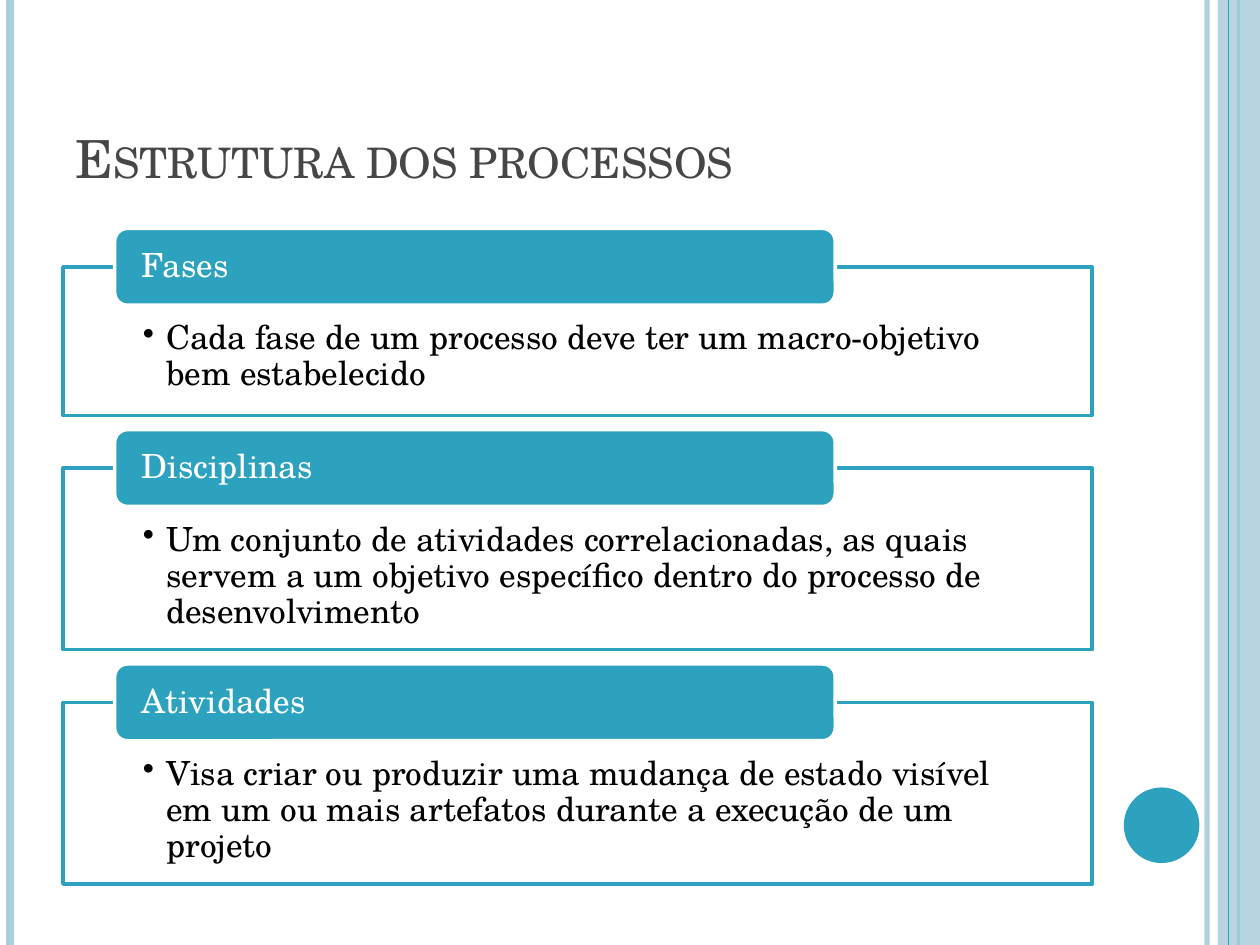
import lxml.etree
import pptx
import pptx.dml.color
import pptx.enum.shapes
import pptx.enum.text
import pptx.oxml.ns
import pptx.util

Pt = pptx.util.Pt
qn = pptx.oxml.ns.qn
ShapeType = pptx.enum.shapes.MSO_SHAPE
Anchor = pptx.enum.text.MSO_ANCHOR
Align = pptx.enum.text.PP_ALIGN

COLORS = {
    "accent": "2DA2BF",
    "pale": "ADCEDC",
    "title": "464646",
    "text": "000000",
    "white": "FFFFFF",
}
FONT = "TeX Gyre Schola"
WIDTH, HEIGHT = 720, 540
SECTIONS = [
    ("Fases", 84.8, "Cada fase de um processo deve ter um macro-objetivo bem estabelecido"),
    ("Disciplinas", 103.7, "Um conjunto de atividades correlacionadas, as quais servem a um "
     "objetivo específico dentro do processo de desenvolvimento"),
    ("Atividades", 103.7, "Visa criar ou produzir uma mudança de estado visível em um ou mais "
     "artefatos durante a execução de um projeto"),
]
STRIPES = [(689.8, "pale", 3, 93), (5.8, "pale", 4.5, 100), (707.8, "accent", 1.5, 100)]
PANEL_LEFT, PANEL_WIDTH, PANEL_TOP, PANEL_GAP = 36, 588.2, 152.6, 30.2
LABEL_LEFT, LABEL_WIDTH, LABEL_HEIGHT, LABEL_RISE = 65.5, 411.8, 43.9, 22.1


class SlideBuilder:
    """Holds the style and the current slide, and adds each kind of element."""

    def __init__(self, slide, font, colors):
        self.slide = slide
        self.font = font
        self.colors = colors

    def color(self, name):
        return pptx.dml.color.RGBColor.from_string(self.colors[name])

    def set_opacity(self, element, percent):
        if percent < 100:
            for color in element.iter(qn("a:srgbClr")):
                lxml.etree.SubElement(color, qn("a:alpha")).set("val", str(percent * 1000))

    def stripe(self, x, color, width, opacity=100):
        line = self.slide.shapes.add_connector(
            pptx.enum.shapes.MSO_CONNECTOR.STRAIGHT, Pt(x), Pt(0), Pt(x), Pt(HEIGHT))
        line.line.color.rgb = self.color(color)
        line.line.width = Pt(width)
        properties = line._element.spPr
        self.set_opacity(properties, opacity)
        lxml.etree.SubElement(properties, qn("a:effectLst"))

    def shape(self, kind, box, fill, opacity=100, outline=None):
        shape = self.slide.shapes.add_shape(kind, *map(Pt, box))
        shape.shadow.inherit = False
        shape.fill.solid()
        shape.fill.fore_color.rgb = self.color(fill)
        self.set_opacity(shape._element.spPr, opacity)
        if outline:
            shape.line.color.rgb = self.color(outline)
            shape.line.width = Pt(2)
        else:
            shape.line.fill.background()
        return shape

    def text(self, shape, text, size, color, frame_format, spacing=1.0):
        frame = shape.text_frame
        frame_values = {"word_wrap": True, "auto_size": pptx.enum.text.MSO_AUTO_SIZE.NONE}
        for name, value in {**frame_values, **frame_format}.items():
            setattr(frame, name, value)
        paragraph = frame.paragraphs[0]
        for name, value in {"alignment": Align.LEFT, "line_spacing": spacing}.items():
            setattr(paragraph, name, value)
        run = paragraph.add_run()
        run.text = text
        for name, value in {"name": self.font, "size": Pt(size)}.items():
            setattr(run.font, name, value)
        run.font.color.rgb = self.color(color)
        return paragraph

    def title(self, text, box):
        title = self.slide.shapes.title
        for name, value in zip(("left", "top", "width", "height"), box):
            setattr(title, name, Pt(value))
        paragraph = self.text(title, text, 30, "title", {"vertical_anchor": Anchor.BOTTOM})
        paragraph.runs[0]._r.get_or_add_rPr().set("cap", "small")

    def panel(self, text, box):
        panel = self.shape(ShapeType.RECTANGLE, box, "white", 90, "accent")
        frame_format = {
            "vertical_anchor": Anchor.TOP,
            "margin_left": Pt(45.6), "margin_right": Pt(45.6),
            "margin_top": Pt(31), "margin_bottom": Pt(10.8),
        }
        paragraph = self.text(panel, text, 19, "text", frame_format, 0.9)
        paragraph.level = 1
        properties = paragraph._p.get_or_add_pPr()
        for name, value in {"marL": Pt(13.5), "indent": -Pt(13.5)}.items():
            properties.set(name, str(value))
        lxml.etree.SubElement(properties, qn("a:buChar")).set("char", "•")

    def label(self, text, box):
        label = self.shape(ShapeType.ROUNDED_RECTANGLE, box, "accent", outline="white")
        frame_format = {
            "vertical_anchor": Anchor.MIDDLE,
            "margin_left": Pt(13.5), "margin_right": Pt(13.5),
            "margin_top": Pt(0), "margin_bottom": Pt(0),
        }
        self.text(label, text, 19, "white", frame_format, 0.9)


def main():
    presentation = pptx.Presentation()
    presentation.slide_width, presentation.slide_height = Pt(WIDTH), Pt(HEIGHT)
    slide = presentation.slides.add_slide(presentation.slide_layouts[5])
    builder = SlideBuilder(slide, FONT, COLORS)

    for stripe in STRIPES:
        builder.stripe(*stripe)
    builder.shape(ShapeType.RECTANGLE, (696, 0, 24, HEIGHT), "pale", 87)
    builder.stripe(702, "accent", 0.75)
    builder.shape(ShapeType.OVAL, (642.2, 450, 43.2, 43.2), "accent")
    builder.title("Estrutura dos processos", (36, 21.6, 588.2, 90))

    top = PANEL_TOP
    for heading, height, description in SECTIONS:
        builder.panel(description, (PANEL_LEFT, top, PANEL_WIDTH, height))
        builder.label(heading, (LABEL_LEFT, top - LABEL_RISE, LABEL_WIDTH, LABEL_HEIGHT))
        top += height + PANEL_GAP

    presentation.save("out.pptx")


if __name__ == "__main__":
    main()
